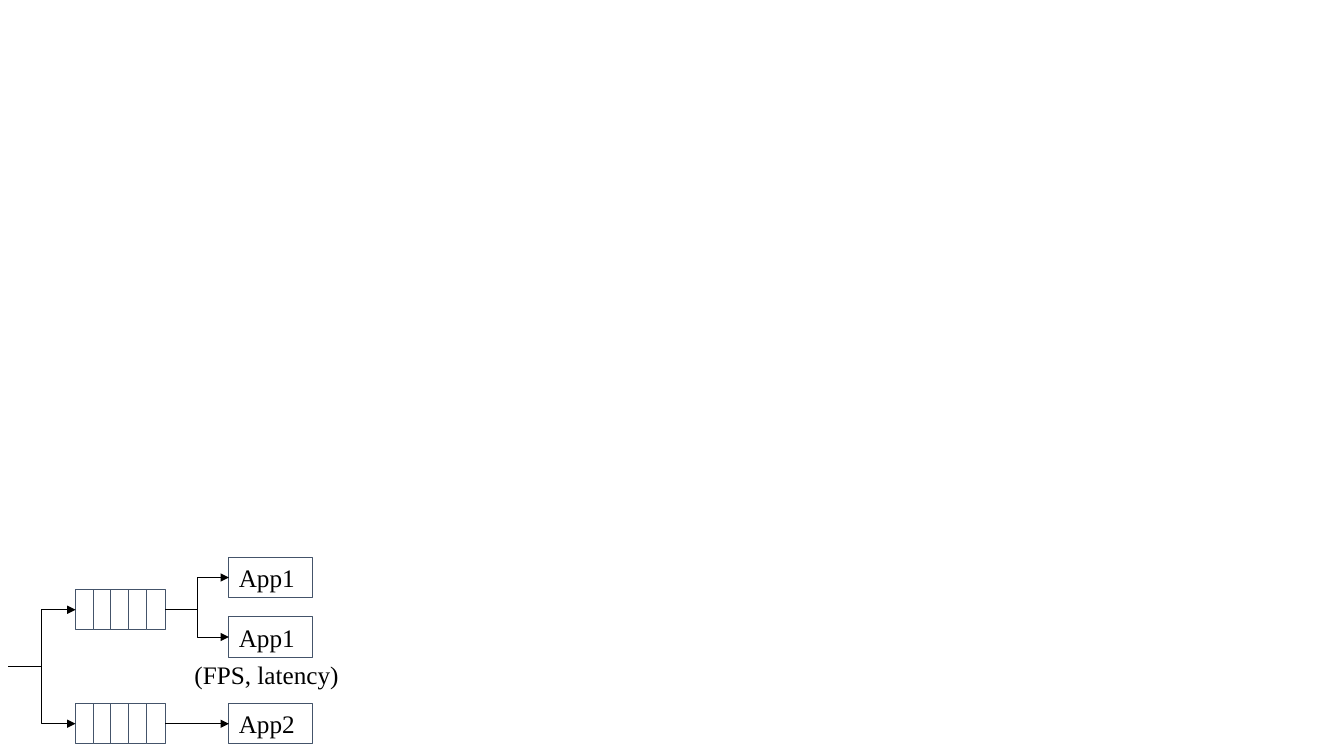
from dataclasses import dataclass

from lxml import etree
from pptx import Presentation
from pptx.dml.color import RGBColor
from pptx.enum.shapes import MSO_CONNECTOR, MSO_SHAPE
from pptx.enum.text import MSO_ANCHOR, MSO_AUTO_SIZE, PP_ALIGN
from pptx.oxml.ns import qn
from pptx.shapes.autoshape import Shape
from pptx.shapes.connector import Connector
from pptx.slide import Slide
from pptx.text.text import TextFrame
from pptx.util import Inches, Pt

RECTANGLE = MSO_SHAPE.RECTANGLE
ELBOW, STRAIGHT = MSO_CONNECTOR.ELBOW, MSO_CONNECTOR.STRAIGHT
LEFT_SIDE, RIGHT_SIDE = 1, 3

COLORS = {"fill": "FFFFFF", "outline": "44546A", "ink": "000000"}
FONT = "Times New Roman"
WIDTH, HEIGHT = Inches(13.33), Inches(7.5)
COLUMNS, ROWS = 1333, 750
BOX_ROWS = 40
QUEUE_COLUMN, CELL_COLUMNS, CELL_STEP, CELL_COUNT = 75, 19, 17.5, 5
APP_COLUMN, APP_COLUMNS = 227, 83
INLET_COLUMN, INLET_ROW = 8, 661


@dataclass(frozen=True)
class App:
    name: str
    row: int


@dataclass(frozen=True)
class Queue:
    row: int
    connector: MSO_CONNECTOR
    apps: tuple[App, ...]


QUEUES = (
    Queue(585, ELBOW, (App("App1", 553), App("App1", 612))),
    Queue(698, STRAIGHT, (App("App2", 698),)),
)


def across(columns: float) -> int:
    return round(WIDTH * columns / COLUMNS)


def down(rows: float) -> int:
    return round(HEIGHT * rows / ROWS)


def color(name: str) -> RGBColor:
    return RGBColor.from_string(COLORS[name])


def write(frame: TextFrame, words: str) -> None:
    para = frame.paragraphs[0]
    para.text = words
    para.alignment = PP_ALIGN.LEFT
    para.font.name = FONT
    para.font.size = Pt(18)
    para.font.color.rgb = color("ink")


def add_box(page: Slide, column: float, row: float, columns: float) -> Shape:
    box = page.shapes.add_shape(
        RECTANGLE, across(column), down(row), across(columns), down(BOX_ROWS)
    )
    box.shadow.inherit = False
    box.fill.solid()
    box.fill.fore_color.rgb = color("fill")
    box.line.color.rgb = color("outline")
    box.line.width = Pt(0.75)
    return box


def add_queue(page: Slide, queue: Queue) -> list[Shape]:
    return [
        add_box(page, QUEUE_COLUMN + index * CELL_STEP, queue.row, CELL_COLUMNS)
        for index in range(CELL_COUNT)
    ]


def add_app(page: Slide, app: App) -> Shape:
    box = add_box(page, APP_COLUMN, app.row, APP_COLUMNS)
    frame = box.text_frame
    frame.vertical_anchor = MSO_ANCHOR.MIDDLE
    frame.margin_left = frame.margin_right = Inches(0.1)
    frame.margin_top = frame.margin_bottom = Inches(0.1)
    write(frame, app.name)
    return box


def add_arrow(page: Slide, kind: MSO_CONNECTOR, target: Shape) -> Connector:
    arrow = page.shapes.add_connector(
        kind, across(INLET_COLUMN), down(INLET_ROW), target.left, target.top
    )
    arrow.end_connect(target, LEFT_SIDE)
    arrow.line.color.rgb = color("ink")
    arrow.line.width = Pt(0.5)
    etree.SubElement(arrow.line._get_or_add_ln(), qn("a:tailEnd"), type="triangle")
    etree.SubElement(arrow._element.spPr, qn("a:effectLst"))
    return arrow


def add_caption(page: Slide) -> None:
    box = page.shapes.add_textbox(across(183), down(649), across(172), down(BOX_ROWS))
    box.text_frame.word_wrap = True
    box.text_frame.auto_size = MSO_AUTO_SIZE.SHAPE_TO_FIT_TEXT
    write(box.text_frame, "(FPS, latency)")


def main() -> None:
    deck = Presentation()
    deck.slide_width, deck.slide_height = WIDTH, HEIGHT
    page = deck.slides.add_slide(deck.slide_layouts[6])
    for queue in QUEUES:
        cells = add_queue(page, queue)
        add_arrow(page, ELBOW, cells[0])
        for app in queue.apps:
            arrow = add_arrow(page, queue.connector, add_app(page, app))
            arrow.begin_connect(cells[-1], RIGHT_SIDE)
    add_caption(page)
    deck.save("out.pptx")


if __name__ == "__main__":
    main()
